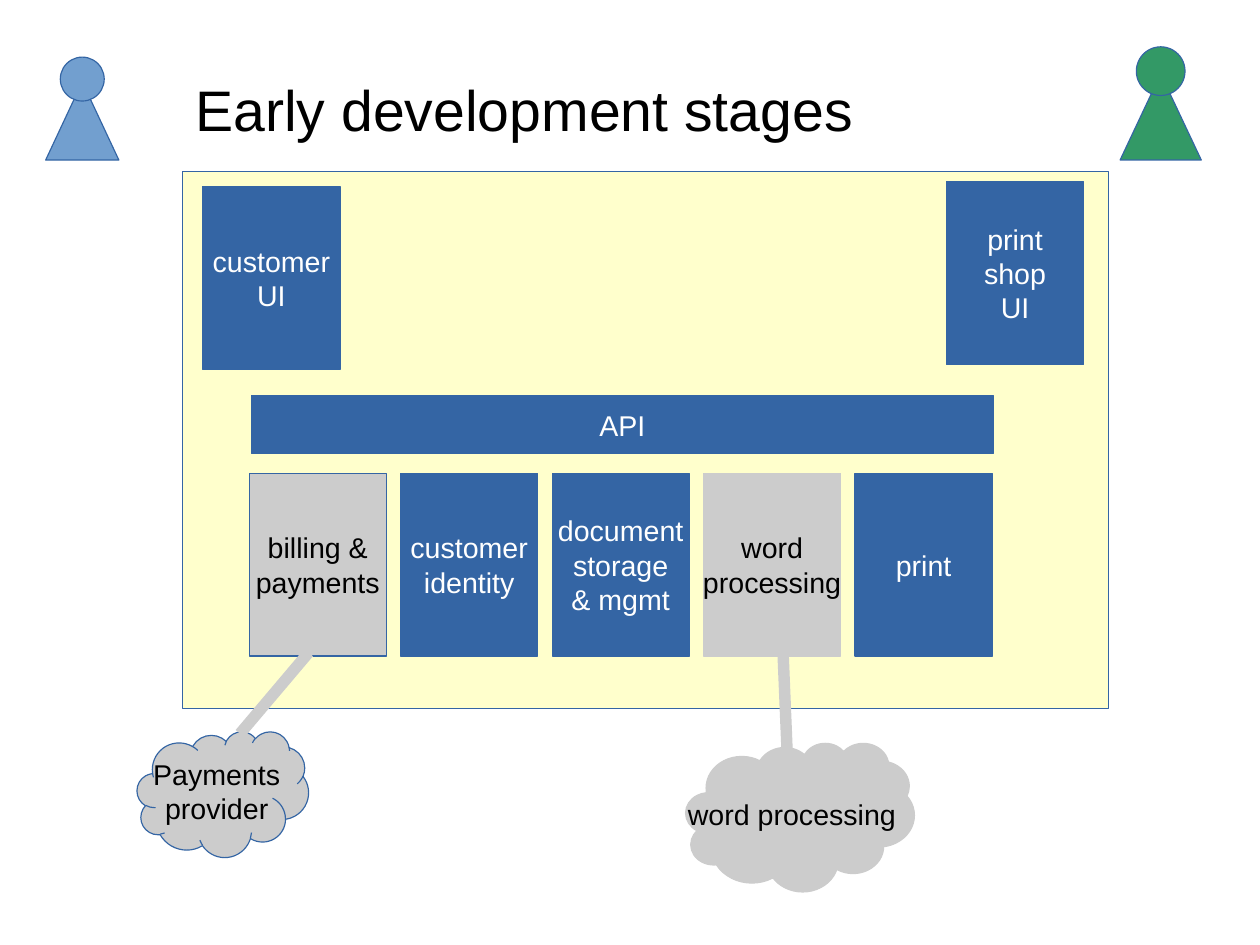
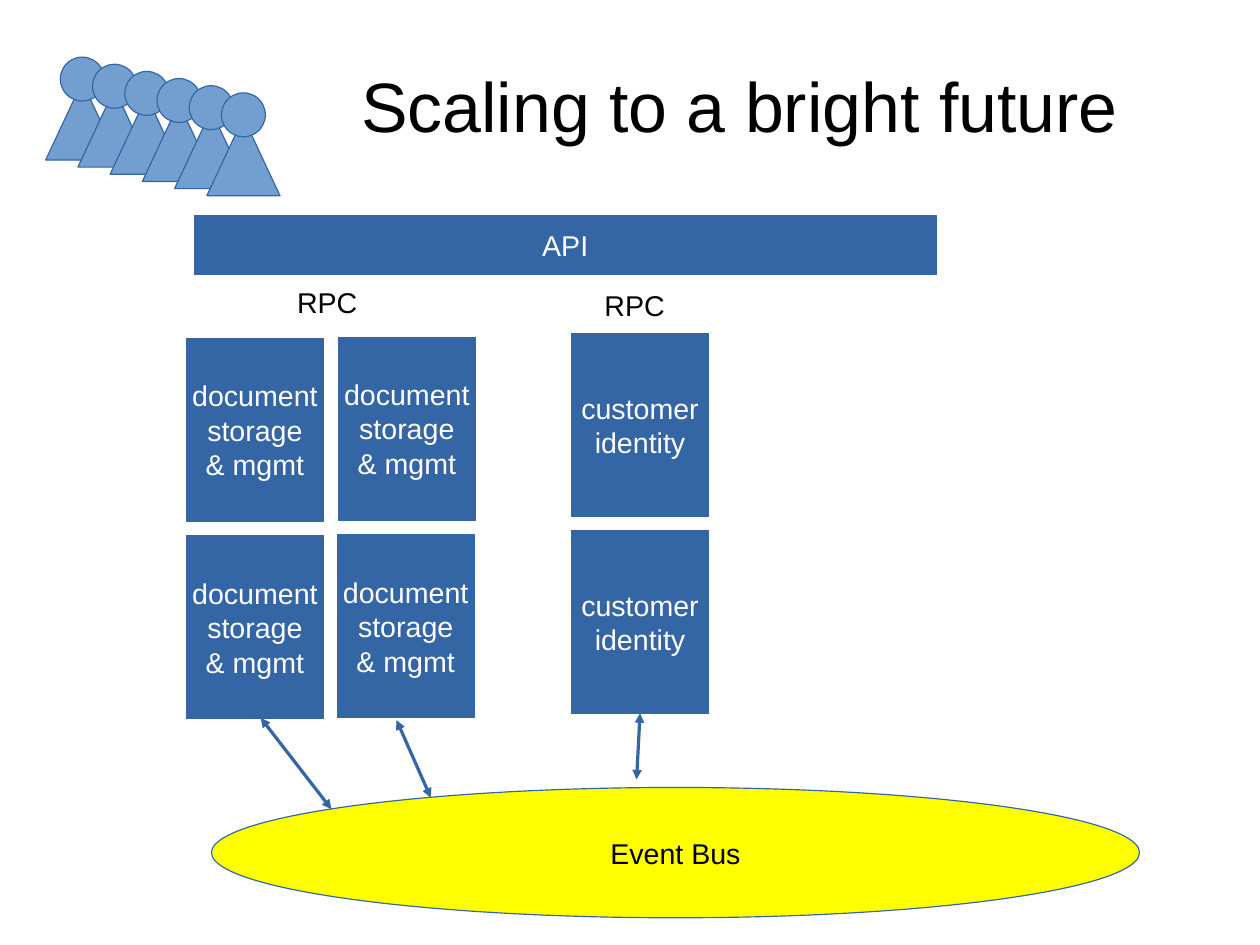
from dataclasses import dataclass
from typing import Optional

from pptx import Presentation
from pptx import util as u
from pptx.dml.color import RGBColor
from pptx.enum import shapes, text
from pptx.oxml import ns
from lxml import etree

COLORS = {
    "blue": "3465A4",
    "light blue": "729FCF",
    "green": "339966",
    "cream": "FFFFCC",
    "yellow": "FFFF00",
    "gray": "CCCCCC",
    "black": "000000",
    "white": "FFFFFF",
}
FONT = "Arial"
BLOCK_WIDTH, BLOCK_HEIGHT = 86.4, 115.2
API_WIDTH, API_HEIGHT = 467.3, 36.7
KINDS = shapes.MSO_SHAPE


# What the slides are made of; lengths are in points
@dataclass
class Block:
    label: str
    left: float
    top: float
    width: float = BLOCK_WIDTH
    height: float = BLOCK_HEIGHT
    fill: str = "blue"
    line: str = "blue"
    ink: str = "white"
    kind: shapes.MSO_SHAPE = KINDS.RECTANGLE


@dataclass
class Person:
    left: float
    top: float
    width: float = 46.1
    height: float = 64.8
    fill: str = "light blue"


@dataclass
class Link:
    start: tuple[float, float]
    end: tuple[float, float]
    color: str = "blue"
    weight: float = 0
    arrows: bool = False
    source: Optional[object] = None  # block whose bottom middle it leaves


def rgb(name: str) -> RGBColor:
    return RGBColor.from_string(COLORS[name])


def format_text(frame, size: float, ink: str, alignment) -> None:
    for paragraph in frame.paragraphs:
        paragraph.alignment = alignment
        for run in paragraph.runs:
            run.font.name = FONT
            run.font.size = u.Pt(size)
            run.font.color.rgb = rgb(ink)


def add_titled_slide(presentation, title: str, left: float, top: float,
                     width: float, height: float, size: float):
    slide = presentation.slides.add_slide(presentation.slide_layouts[5])
    shape = slide.shapes.title
    shape.left, shape.top = u.Pt(left), u.Pt(top)
    shape.width, shape.height = u.Pt(width), u.Pt(height)
    frame = shape.text_frame
    frame.text = title
    frame.auto_size = text.MSO_AUTO_SIZE.NONE
    frame.vertical_anchor = text.MSO_ANCHOR.TOP
    format_text(frame, size, "black", text.PP_ALIGN.LEFT)
    return slide


def add_block(container, block: Block):
    shape = container.add_shape(block.kind, u.Pt(block.left), u.Pt(block.top),
                                u.Pt(block.width), u.Pt(block.height))
    shape.shadow.inherit = False
    shape.fill.solid()
    shape.fill.fore_color.rgb = rgb(block.fill)
    shape.line.color.rgb = rgb(block.line)
    shape.line.width = u.Pt(0)
    if block.label:
        frame = shape.text_frame
        frame.text = block.label
        frame.word_wrap = False
        frame.vertical_anchor = text.MSO_ANCHOR.MIDDLE
        format_text(frame, 18, block.ink, text.PP_ALIGN.CENTER)
    return shape


def add_person(slide, person: Person) -> None:
    group = slide.shapes.add_group_shape()
    head = 0.6 * person.width
    neck = 0.24 * person.height
    add_block(group.shapes, Block("", person.left, person.top + neck, person.width,
                                  person.height - neck, person.fill,
                                  kind=KINDS.ISOSCELES_TRIANGLE))
    add_block(group.shapes, Block("", person.left + (person.width - head) / 2,
                                  person.top, head, head, person.fill,
                                  kind=KINDS.OVAL))


def add_link(slide, link: Link) -> None:
    connector = slide.shapes.add_connector(
        shapes.MSO_CONNECTOR.STRAIGHT,
        *(u.Pt(value) for value in (*link.start, *link.end)))
    if link.source is not None:
        connector.begin_connect(link.source, 2)
    connector.line.color.rgb = rgb(link.color)
    connector.line.width = u.Pt(link.weight)
    properties = connector._element.spPr
    if link.arrows:
        outline = properties.find(ns.qn("a:ln"))
        for end in ("a:headEnd", "a:tailEnd"):
            etree.SubElement(outline, ns.qn(end), type="triangle")
    etree.SubElement(properties, ns.qn("a:effectLst"))


def add_label(slide, label: str, left: float, top: float) -> None:
    box = slide.shapes.add_textbox(u.Pt(left), u.Pt(top), u.Pt(54), u.Pt(27.4))
    box.text_frame.text = label
    box.text_frame.word_wrap = False
    format_text(box.text_frame, 18, "black", text.PP_ALIGN.LEFT)


def build_early_stages(presentation) -> None:
    slide = add_titled_slide(presentation, "Early development stages",
                             115.9, 43.2, 561.6, 47.5, 36)
    add_person(slide, Person(28.8, 36))
    add_person(slide, Person(705.6, 29.5, 51.1, 71.3, "green"))

    # System frame, outside providers, user interfaces and API
    gray = {"fill": "gray", "ink": "black"}
    for block in (
        Block("", 115.2, 108, 583.2, 338.4, "cream"),
        Block("Payments\nprovider", 86.4, 460.8, 108, 79.2, kind=KINDS.CLOUD, **gray),
        Block("word processing", 432, 468, 144, 93.6, line="gray",
              kind=KINDS.CLOUD, **gray),
        Block("customer\nUI", 127.8, 117.4),
        Block("print\nshop\nUI", 596.2, 114.5),
        Block("API", 158.4, 249.1, API_WIDTH, API_HEIGHT),
    ):
        add_block(slide.shapes, block)

    # Row of services at equal steps
    services = (
        ("billing &\npayments", gray),
        ("customer\nidentity", {}),
        ("document\nstorage\n& mgmt", {}),
        ("word\nprocessing", {"line": "gray", **gray}),
        ("print", {}),
    )
    for index, (label, style) in enumerate(services):
        add_block(slide.shapes, Block(label, 157 + 95.4 * index, 298.1, **style))

    for start, end in (((194.4, 411.1), (151.2, 462.2)),
                       ((493.2, 409.7), (496.1, 480.2))):
        add_link(slide, Link(start, end, "gray", 7.2))


def build_bright_future(presentation) -> None:
    slide = add_titled_slide(presentation, "Scaling to a bright future",
                             220.3, 36, 511.2, 105.8, 44)
    # Growing crowd of customers
    for index in range(6):
        add_person(slide, Person(28.8 + 20.3 * index, 36 + 4.5 * index))

    add_block(slide.shapes, Block("API", 122.4, 136.1, API_WIDTH, API_HEIGHT))
    add_label(slide, "RPC", 180, 175.7)
    add_label(slide, "RPC", 373.7, 177.8)

    # Service instances
    for left, top in ((117.4, 213.1), (117.4, 337.7), (213.1, 212.4), (212.4, 337)):
        add_block(slide.shapes, Block("document\nstorage\n& mgmt", left, top))
    for top in (210.2, 334.1):
        identity = add_block(slide.shapes, Block("customer\nidentity", 360, top))

    # Event bus and its links
    add_block(slide.shapes, Block("Event Bus", 133.2, 496.1, 584.6, 82.1, "yellow",
                                  ink="black", kind=KINDS.OVAL))
    for start, end, source in (
        ((164.2, 452.2), (208.8, 509.8), None),
        ((249.8, 453.6), (271.4, 502.6), None),
        ((403.2, 449.3), (401, 491), identity),
    ):
        add_link(slide, Link(start, end, arrows=True, source=source))


def main() -> None:
    presentation = Presentation()
    presentation.slide_width = u.Pt(793.7)
    presentation.slide_height = u.Pt(595.3)
    build_early_stages(presentation)
    build_bright_future(presentation)
    presentation.save("out.pptx")


if __name__ == "__main__":
    main()
